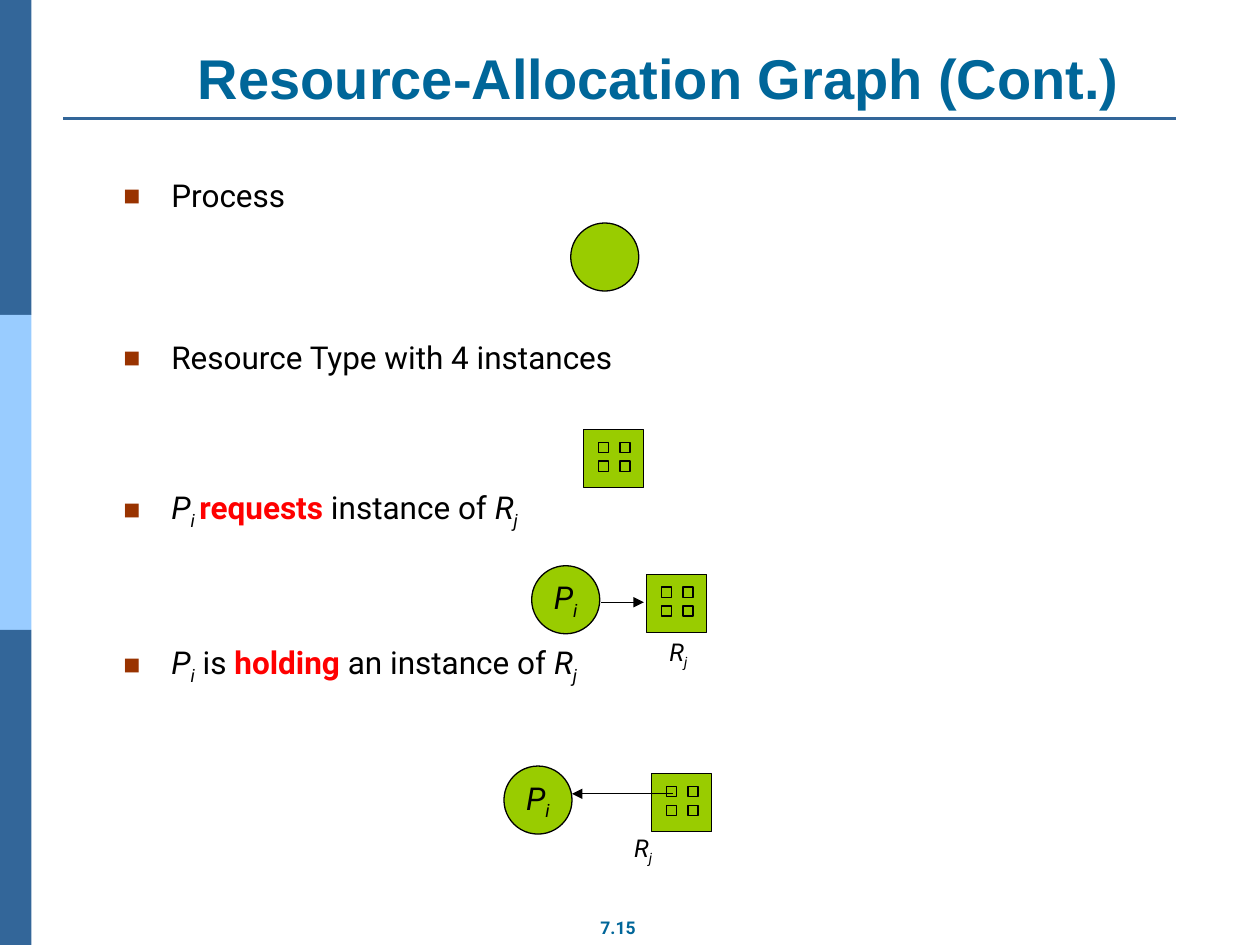
"""Build the slide that explains the symbols of a resource-allocation graph."""
from dataclasses import dataclass
from itertools import product

from lxml.etree import SubElement
from pptx import Presentation
from pptx.dml.color import RGBColor
from pptx.enum.shapes import MSO_CONNECTOR as Connector, MSO_SHAPE as Shape
from pptx.enum.text import MSO_ANCHOR as Anchor, MSO_AUTO_SIZE as AutoSize, PP_ALIGN as Align
from pptx.oxml.ns import qn
from pptx.util import Inches, Pt

NAVY = RGBColor(0x33, 0x66, 0x99)
SKY = RGBColor(0x99, 0xCC, 0xFF)
TEAL = RGBColor(0x00, 0x66, 0x99)
LIME = RGBColor(0x99, 0xCC, 0x00)
RED = RGBColor(0xFF, 0x00, 0x00)
BLACK = RGBColor(0x00, 0x00, 0x00)
RUST = RGBColor(0x99, 0x33, 0x00)


@dataclass(frozen=True)
class Span:
    text: str
    size: int = 18
    color: RGBColor = BLACK
    font: str = "Roboto"
    bold: bool = False
    italic: bool = False
    subscript: bool = False


@dataclass(frozen=True)
class Point:
    spans: tuple[Span, ...]
    space_before: int


@dataclass(frozen=True)
class Edge:
    start: float
    end: float
    y: float


def symbol(letter: str, index: str, size: int = 18) -> tuple[Span, ...]:
    return (Span(letter, size, italic=True),
            Span(index, size, italic=True, subscript=True))


def key_word(text: str) -> Span:
    return Span(text, color=RED, bold=True)


POINTS = (
    Point((Span("Process"),), 0),
    Point((Span("Resource Type with 4 instances"),), 71),
    Point((*symbol("P", "i "), key_word("requests"), Span(" instance of "),
           *symbol("R", "j")), 64),
    Point((*symbol("P", "i"), Span(" is "), key_word("holding"),
           Span(" an instance of "), *symbol("R", "j")), 64),
)
PROCESSES = ((4.53, 1.77, ()), (4, 6.08, symbol("P", "i")), (4.22, 4.49, symbol("P", "i")))
RESOURCES = ((4.63, 3.41), (5.13, 4.56), (5.17, 6.14))
RESOURCE_NAMES = ((5.2, 5.02), (4.92, 6.58))
EDGES = (Edge(4.77, 5.11, 4.78), Edge(5.34, 4.54, 6.3))


def write(paragraph, spans: tuple[Span, ...]) -> None:
    for span in spans:
        run = paragraph.add_run()
        run.text = span.text
        font = run.font
        font.name, font.size = span.font, Pt(span.size)
        font.bold, font.italic = span.bold, span.italic
        font.color.rgb = span.color
        if span.subscript:
            run._r.get_or_add_rPr().set("baseline", "-25000")


def place(shape, left: float, top: float, width: float, height: float) -> None:
    shape.left, shape.top = Inches(left), Inches(top)
    shape.width, shape.height = Inches(width), Inches(height)


def add_bullet(paragraph) -> None:
    properties = paragraph._p.get_or_add_pPr()
    properties.set("marL", str(Inches(0.38)))
    properties.set("indent", str(-Inches(0.38)))
    SubElement(SubElement(properties, qn("a:buClr")), qn("a:srgbClr"), val=str(RUST))
    SubElement(properties, qn("a:buSzPct"), val="90000")
    SubElement(properties, qn("a:buFont"), typeface="Arial")
    SubElement(properties, qn("a:buChar"), char="■")


def add_filled(shapes, kind: Shape, left: float, top: float, width: float, height: float,
               fill: RGBColor = LIME, outlined: bool = True):
    shape = shapes.add_shape(kind, Inches(left), Inches(top), Inches(width), Inches(height))
    shape.shadow.inherit = False
    shape.fill.solid()
    shape.fill.fore_color.rgb = fill
    if outlined:
        shape.line.color.rgb = BLACK
        shape.line.width = Pt(0.75)
    else:
        shape.line.fill.background()
    return shape


def add_line(shapes, edge: Edge, color: RGBColor, width: float, arrow: bool = False) -> None:
    line = shapes.add_connector(Connector.STRAIGHT, Inches(edge.start), Inches(edge.y),
                                Inches(edge.end), Inches(edge.y))
    line.line.color.rgb = color
    line.line.width = Pt(width)
    if arrow:
        SubElement(line.line._get_or_add_ln(), qn("a:tailEnd"), type="triangle")
    SubElement(line._element.spPr, qn("a:effectLst"))


def center_text(shape, spans: tuple[Span, ...], anchor: Anchor = Anchor.MIDDLE) -> None:
    frame = shape.text_frame
    frame.word_wrap = False
    frame.vertical_anchor = anchor
    frame.paragraphs[0].alignment = Align.CENTER
    write(frame.paragraphs[0], spans)


def add_label(shapes, left: float, top: float, width: float, height: float,
              spans: tuple[Span, ...], anchor: Anchor = Anchor.MIDDLE) -> None:
    label = shapes.add_textbox(Inches(left), Inches(top), Inches(width), Inches(height))
    center_text(label, spans, anchor)
    label.text_frame.auto_size = AutoSize.SHAPE_TO_FIT_TEXT


def add_process(shapes, left: float, top: float, name: tuple[Span, ...]) -> None:
    process = add_filled(shapes, Shape.OVAL, left, top, 0.54, 0.54)
    if name:
        center_text(process, name)


def add_resource(shapes, left: float, top: float) -> None:
    members = shapes.add_group_shape().shapes
    add_filled(members, Shape.RECTANGLE, left, top, 0.48, 0.46)
    for row, column in product(range(2), repeat=2):
        add_filled(members, Shape.RECTANGLE, left + 0.12 + 0.17 * column,
                   top + 0.1 + 0.15 * row, 0.08, 0.08)


def fill_title(title) -> None:
    place(title, 0.96, 0.3, 8.54, 0.63)
    frame = title.text_frame
    frame.auto_size = AutoSize.NONE
    frame.vertical_anchor = Anchor.BOTTOM
    frame.paragraphs[0].alignment = Align.CENTER
    write(frame.paragraphs[0],
          (Span("Resource-Allocation Graph (Cont.)", 32, TEAL, "Arial", bold=True),))


def fill_points(body) -> None:
    place(body, 0.88, 1.35, 9, 4.95)
    frame = body.text_frame
    frame.auto_size = AutoSize.NONE
    for number, point in enumerate(POINTS):
        paragraph = frame.add_paragraph() if number else frame.paragraphs[0]
        add_bullet(paragraph)
        paragraph.space_before = Pt(point.space_before)
        write(paragraph, point.spans)


def main() -> None:
    deck = Presentation()
    deck.slide_width, deck.slide_height = Inches(10), Inches(7.5)
    slide = deck.slides.add_slide(deck.slide_layouts[1])
    shapes = slide.shapes
    for band, color in enumerate((NAVY, SKY, NAVY)):
        add_filled(shapes, Shape.RECTANGLE, 0, 2.5 * band, 0.25, 2.5, color, outlined=False)
    add_line(shapes, Edge(0.5, 9.33, 0.94), NAVY, 1.5)
    add_label(shapes, 4.66, 7.23, 0.49, 0.27, (Span("7.15", 10, TEAL, bold=True),), Anchor.TOP)
    fill_title(shapes.title)
    fill_points(slide.placeholders[1])
    for left, top, name in PROCESSES:
        add_process(shapes, left, top, name)
    for left, top in RESOURCES:
        add_resource(shapes, left, top)
    for left, top in RESOURCE_NAMES:
        add_label(shapes, left, top, 0.37, 0.33, symbol("R", "j", 14))
    for edge in EDGES:
        add_line(shapes, edge, BLACK, 0.75, arrow=True)
    deck.save("out.pptx")


if __name__ == "__main__":
    main()
